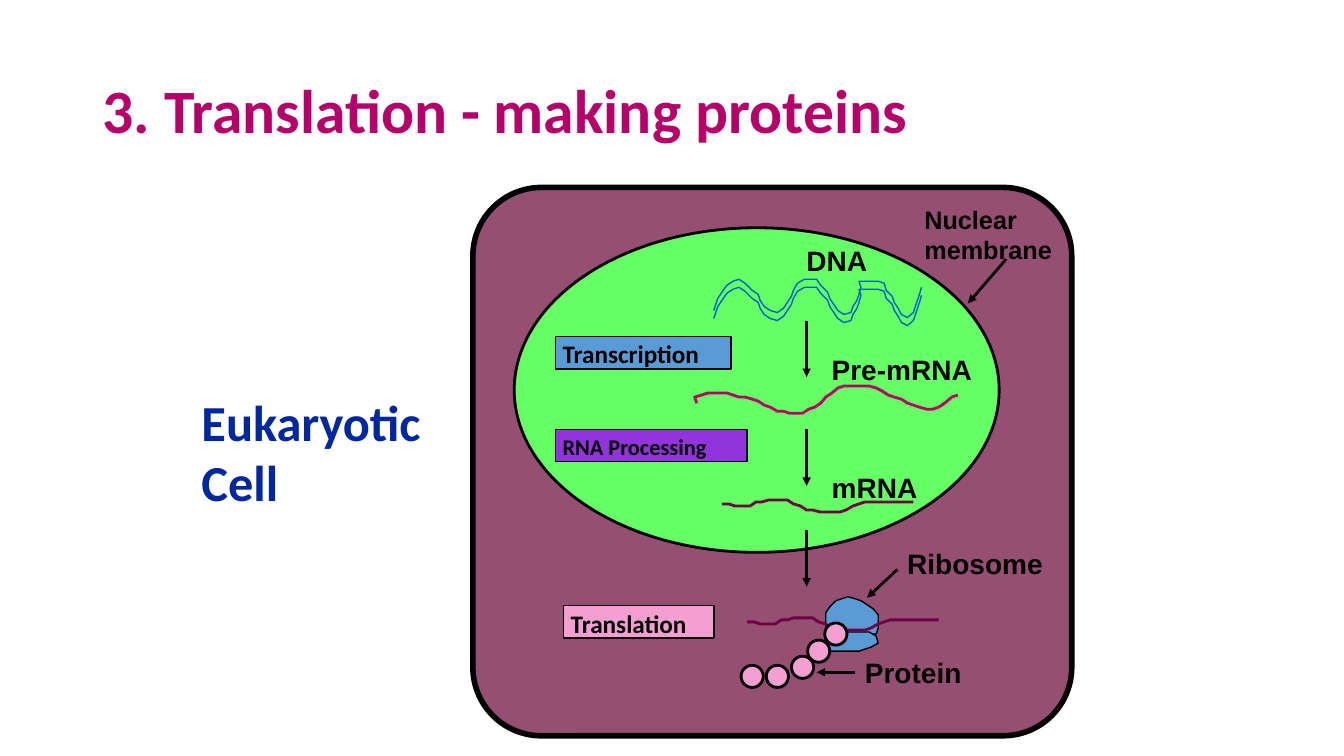
"""Build a slide that shows translation within a eukaryotic cell."""
from dataclasses import dataclass
from typing import Any, Optional

from lxml.etree import SubElement
from pptx import Presentation
from pptx.dml.color import RGBColor
from pptx.enum.shapes import MSO_CONNECTOR, MSO_SHAPE
from pptx.enum.text import MSO_ANCHOR, PP_ALIGN
from pptx.oxml.ns import qn
from pptx.util import Emu, Pt

EMU_PER_PX = 9144
Point = tuple[int, int]
Box = tuple[int, int, int, int]


@dataclass(frozen=True)
class Theme:
    black: str = "000000"
    magenta: str = "B50069"
    navy: str = "00279F"
    plum: str = "954F72"
    green: str = "66FF66"
    blue: str = "5B9BD5"
    purple: str = "9234DB"
    pink: str = "F39FD1"
    dna: str = "0563C1"
    mrna: str = "6E0043"
    heading_font: str = "Calibri"
    label_font: str = "Arial"
    title_size: int = 44
    caption_size: int = 36
    label_size: int = 20
    small_size: int = 18
    tiny_size: int = 16


THEME = Theme()


@dataclass(frozen=True)
class Label:
    text: str
    box: Box
    size: int = THEME.label_size
    font: str = THEME.label_font
    color: str = THEME.black
    wrap: bool = False
    anchor: MSO_ANCHOR = MSO_ANCHOR.TOP
    line_spacing: Optional[float] = None


@dataclass(frozen=True)
class Tag:
    text: str
    box: Box
    fill: str
    size: int = THEME.small_size


@dataclass(frozen=True)
class Outline:
    points: list[Point]
    color: str
    width: int
    fill: Optional[str] = None


@dataclass(frozen=True)
class Arrow:
    start: Point
    end: Point


def shifted(points: list[Point], right: int, down: int) -> list[Point]:
    """Return the points moved by the given distances."""
    return [(x + right, y + down) for x, y in points]


DNA_STRAND = [
    (708, 308), (710, 302), (712, 296), (716, 290), (721, 283), (727, 279), (733, 277),
    (739, 281), (746, 288), (752, 292), (754, 298), (758, 304), (764, 308), (771, 310),
    (777, 306), (781, 300), (785, 294), (787, 288), (791, 281), (798, 277), (804, 277),
    (810, 277), (814, 283), (821, 290), (823, 296), (827, 302), (831, 308), (837, 312),
    (844, 310), (846, 304), (850, 298), (852, 292), (854, 285), (852, 279), (858, 279),
    (864, 279), (871, 279), (877, 281), (879, 288), (885, 294), (887, 300), (891, 306),
    (894, 312), (900, 315), (906, 310), (908, 304), (910, 298), (912, 292), (914, 285),
]
PRE_MRNA_STRAND = [
    (691, 400), (689, 394), (696, 392), (702, 390), (721, 390), (727, 392), (733, 394),
    (739, 394), (746, 396), (752, 398), (758, 402), (764, 404), (771, 408), (777, 408),
    (783, 410), (796, 410), (802, 406), (808, 404), (814, 400), (819, 394), (825, 390),
    (831, 385), (837, 383), (862, 383), (869, 385), (875, 388), (881, 392), (887, 394),
    (894, 396), (900, 400), (906, 402), (912, 404), (919, 406), (925, 406), (931, 404),
    (937, 400), (944, 394), (950, 392),
]
MRNA_STRAND = [
    (716, 500), (723, 500), (729, 502), (744, 502), (750, 498), (756, 498), (762, 496),
    (781, 496), (787, 500), (794, 502), (800, 506), (806, 506), (814, 508), (833, 508),
    (839, 506), (846, 502), (852, 500), (858, 498), (906, 498),
]
LARGE_SUBUNIT = [
    (825, 625), (831, 629), (869, 629), (871, 623), (871, 610), (866, 604), (860, 600),
    (854, 596), (848, 594), (841, 592), (835, 594), (829, 596), (823, 602), (819, 608),
    (819, 621), (821, 627), (827, 629), (833, 629), (825, 625),
]
SMALL_SUBUNIT = [
    (825, 625), (831, 627), (862, 627), (869, 631), (871, 638), (864, 642), (858, 644),
    (852, 646), (821, 646), (816, 640), (819, 633), (825, 629), (825, 625),
]
OUTLINES = [
    Outline(DNA_STRAND, THEME.dna, 1),
    Outline(shifted(DNA_STRAND, 0, 8), THEME.dna, 1),
    Outline(PRE_MRNA_STRAND, THEME.magenta, 2),
    Outline(MRNA_STRAND, THEME.mrna, 2),
    Outline(LARGE_SUBUNIT, THEME.black, 1, THEME.blue),
    Outline(SMALL_SUBUNIT, THEME.black, 1, THEME.blue),
    Outline(shifted(MRNA_STRAND, 25, 117), THEME.mrna, 2),
]
TAGS = [
    Tag("Transcription", (551, 334, 174, 32), THEME.blue),
    Tag("RNA Processing", (551, 426, 190, 32), THEME.purple, THEME.tiny_size),
    Tag("Translation", (559, 601, 149, 32), THEME.pink),
]
LABELS = [
    Label("Nuclear\nmembrane", (907, 198, 148, 70), THEME.small_size),
    Label("DNA", (790, 237, 81, 43)),
    Label("Pre-mRNA", (815, 345, 160, 43)),
    Label("mRNA", (815, 462, 106, 43)),
    Label("Ribosome", (890, 537, 156, 43)),
    Label("Protein", (848, 645, 116, 43)),
]
TITLE = Label("3. Translation - making proteins", (92, 40, 1150, 145), THEME.title_size,
              THEME.heading_font, THEME.magenta, True, MSO_ANCHOR.MIDDLE, 0.9)
CAPTION = Label("Eukaryotic Cell", (190, 383, 277, 130), THEME.caption_size,
                THEME.heading_font, THEME.navy, True)
ARROWS = [Arrow((800, top), (800, top + 56)) for top in (318, 426, 526)] + [
    Arrow((998, 257), (960, 301)),
    Arrow((848, 667), (810, 667)),
    Arrow((890, 565), (860, 593)),
]
AMINO_ACIDS = [(735, 660), (760, 660), (785, 651), (801, 635), (818, 618)]
AMINO_ACID_SIZE = 22


def px(*lengths: int) -> list[Emu]:
    """Turn pixel lengths into EMU."""
    return [Emu(length * EMU_PER_PX) for length in lengths]


def paint(shape: Any, fill: Optional[str], line: str, width: int) -> None:
    """Set the fill and line of a shape and drop its shadow."""
    shape.shadow.inherit = False
    if fill:
        shape.fill.solid()
        shape.fill.fore_color.rgb = RGBColor.from_string(fill)
    else:
        shape.fill.background()
    shape.line.color.rgb = RGBColor.from_string(line)
    shape.line.width = Pt(width)


def write(shape: Any, text: str, size: int, font: str, color: str,
          line_spacing: Optional[float] = None) -> None:
    """Put bold left-aligned text into a shape."""
    shape.text_frame.text = text
    for paragraph in shape.text_frame.paragraphs:
        paragraph.alignment = PP_ALIGN.LEFT
        paragraph.line_spacing = line_spacing
        for run in paragraph.runs:
            run.font.name, run.font.size, run.font.bold = font, Pt(size), True
            run.font.color.rgb = RGBColor.from_string(color)


def add_preset(shapes: Any, kind: MSO_SHAPE, box: Box, fill: str, width: int) -> Any:
    """Add a black-edged preset shape."""
    shape = shapes.add_shape(kind, *px(*box))
    paint(shape, fill, THEME.black, width)
    return shape


def add_label(shapes: Any, label: Label) -> None:
    """Add a free-standing text box."""
    shape = shapes.add_textbox(*px(*label.box))
    shape.text_frame.word_wrap = label.wrap
    shape.text_frame.vertical_anchor = label.anchor
    write(shape, label.text, label.size, label.font, label.color, label.line_spacing)


def add_tag(shapes: Any, tag: Tag) -> None:
    """Add a coloured box naming a process."""
    shape = add_preset(shapes, MSO_SHAPE.RECTANGLE, tag.box, tag.fill, 1)
    frame = shape.text_frame
    frame.word_wrap, frame.vertical_anchor = False, MSO_ANCHOR.MIDDLE
    frame.margin_left, frame.margin_top, frame.margin_bottom = px(7, 2, 0)
    write(shape, tag.text, tag.size, THEME.heading_font, THEME.black)


def add_outline(shapes: Any, outline: Outline) -> None:
    """Add a strand or a ribosome subunit."""
    builder = shapes.build_freeform(*outline.points[0], scale=EMU_PER_PX)
    builder.add_line_segments(outline.points[1:], close=outline.fill is not None)
    paint(builder.convert_to_shape(), outline.fill, outline.color, outline.width)


def add_arrow(shapes: Any, arrow: Arrow) -> None:
    """Add a straight arrow pointing at its end."""
    connector = shapes.add_connector(MSO_CONNECTOR.STRAIGHT, *px(*arrow.start, *arrow.end))
    connector.line.color.rgb = RGBColor.from_string(THEME.black)
    connector.line.width = Pt(2)
    properties = connector.element.spPr
    SubElement(properties.find(qn("a:ln")), qn("a:tailEnd"), type="triangle")
    SubElement(properties, qn("a:effectLst"))


def main() -> None:
    """Draw the slide and save it."""
    presentation = Presentation()
    presentation.slide_width, presentation.slide_height = px(1333, 750)
    slide = presentation.slides.add_slide(presentation.slide_layouts[6])
    add_label(slide.shapes, TITLE)
    cell = slide.shapes.add_group_shape().shapes
    body = add_preset(cell, MSO_SHAPE.ROUNDED_RECTANGLE, (469, 186, 594, 544), THEME.plum, 4)
    body.adjustments[0] = 0.125
    add_preset(cell, MSO_SHAPE.OVAL, (510, 226, 481, 322), THEME.green, 2)
    for tag in TAGS:
        add_tag(cell, tag)
    for outline in OUTLINES:
        add_outline(cell, outline)
    for left, top in AMINO_ACIDS:
        box = (left, top, AMINO_ACID_SIZE, AMINO_ACID_SIZE)
        add_preset(cell, MSO_SHAPE.OVAL, box, THEME.pink, 2)
    for label in LABELS:
        add_label(cell, label)
    for arrow in ARROWS:
        add_arrow(cell, arrow)
    add_label(slide.shapes, CAPTION)
    presentation.save("out.pptx")


if __name__ == "__main__":
    main()
